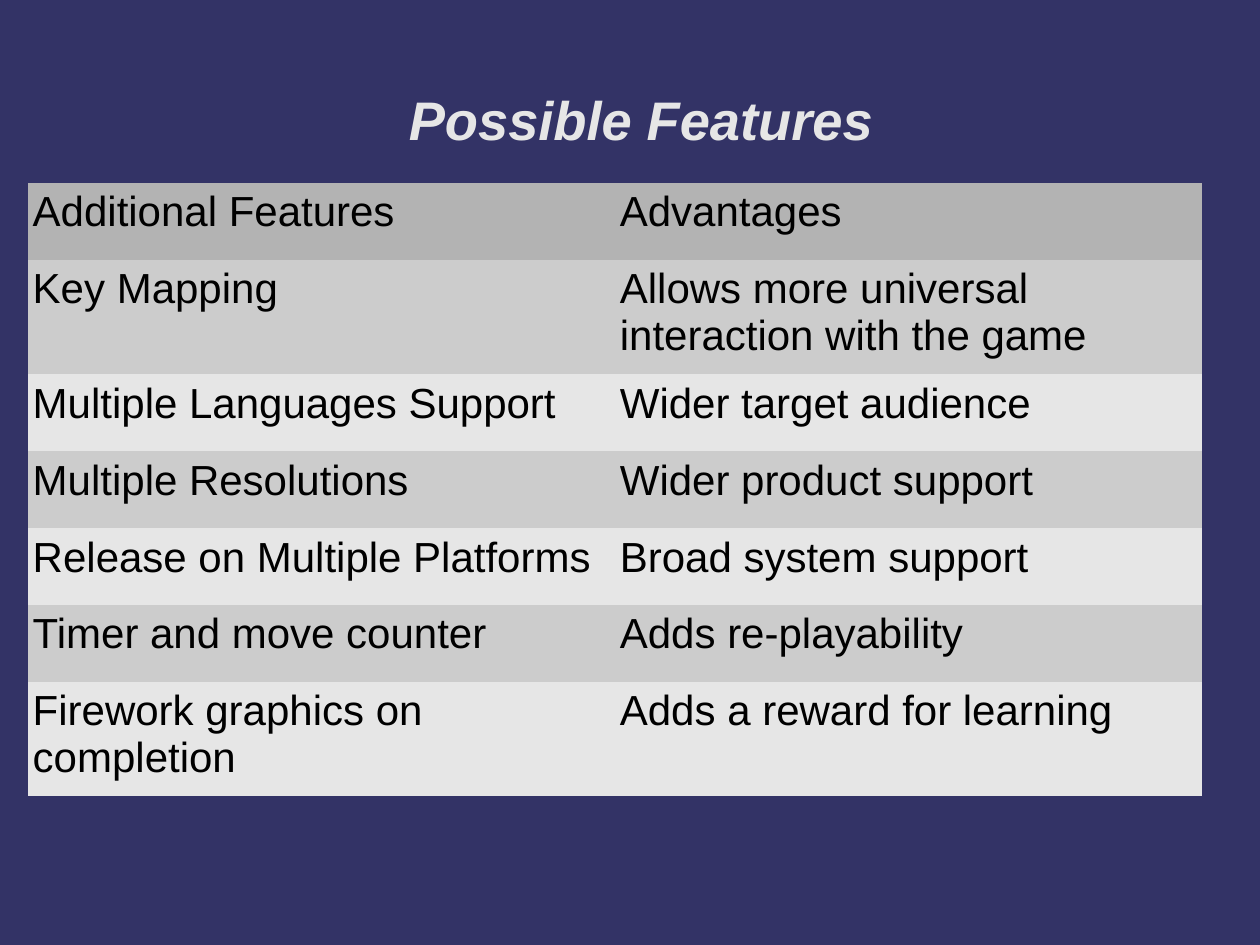
from pptx import Presentation
from pptx.dml.color import RGBColor
from pptx.enum.text import MSO_ANCHOR, PP_ALIGN
from pptx.oxml.ns import qn
from pptx.util import Inches, Pt

HUES = {"back": "333366", "title": "E6E6E6", "text": "000000",
        "head": "B3B3B3", "odd": "CCCCCC", "even": "E6E6E6"}
FONT = "Arial"
PLAIN = "{2D5ABB26-0587-4C30-8999-92F81FD0307C}"
COL = 4.66
LINE, PAIR = 0.61, 0.91
ROWS = [
    (LINE, "Additional Features", "Advantages"),
    (PAIR, "Key Mapping", "Allows more universal interaction with the game"),
    (LINE, "Multiple Languages Support", "Wider target audience"),
    (LINE, "Multiple Resolutions", "Wider product support"),
    (LINE, "Release on Multiple Platforms", "Broad system support"),
    (LINE, "Timer and move counter", "Adds re-playability"),
    (PAIR, "Firework graphics on completion", "Adds a reward for learning"),
]


def paint(fill, hue):
    fill.solid()
    fill.fore_color.rgb = RGBColor.from_string(HUES[hue])


def write(para, text, size, hue, strong=False):
    run = para.add_run()
    run.text = text
    font = run.font
    font.name, font.size = FONT, Pt(size)
    font.bold = font.italic = strong
    font.color.rgb = RGBColor.from_string(HUES[hue])


def add_title(slide, text):
    title = slide.shapes.title
    title.left, title.top = Inches(0.45), Inches(0.32)
    title.width, title.height = Inches(9), Inches(1.25)
    title.text_frame.vertical_anchor = MSO_ANCHOR.MIDDLE
    para = title.text_frame.paragraphs[0]
    para.alignment = PP_ALIGN.CENTER
    props = para._p.get_or_add_pPr()
    props.set("marL", str(Inches(0.39)))
    props.set("indent", "0")
    write(para, text, 31, "title", True)


def fill_cell(cell, text, hue):
    cell.margin_left = cell.margin_right = Inches(0.04)
    cell.margin_top = cell.margin_bottom = Inches(0.05)
    paint(cell.fill, hue)
    write(cell.text_frame.paragraphs[0], text, 24, "text")


def add_grid(slide, rows):
    high = sum(row[0] for row in rows)
    frame = slide.shapes.add_table(len(rows), 2, Inches(0.22), Inches(1.45),
                                   Inches(2 * COL), Inches(high))
    table = frame.table
    table._tbl.tblPr.find(qn("a:tableStyleId")).text = PLAIN
    for col in table.columns:
        col.width = Inches(COL)
    for i, (tall, *texts) in enumerate(rows):
        table.rows[i].height = Inches(tall)
        hue = "head" if i == 0 else "odd" if i % 2 else "even"
        for j, text in enumerate(texts):
            fill_cell(table.cell(i, j), text, hue)


def main():
    deck = Presentation()
    deck.slide_width, deck.slide_height = Inches(10), Inches(7.5)
    slide = deck.slides.add_slide(deck.slide_layouts[5])
    paint(slide.background.fill, "back")
    add_title(slide, "Possible Features ")
    add_grid(slide, ROWS)
    deck.save("out.pptx")


if __name__ == "__main__":
    main()
